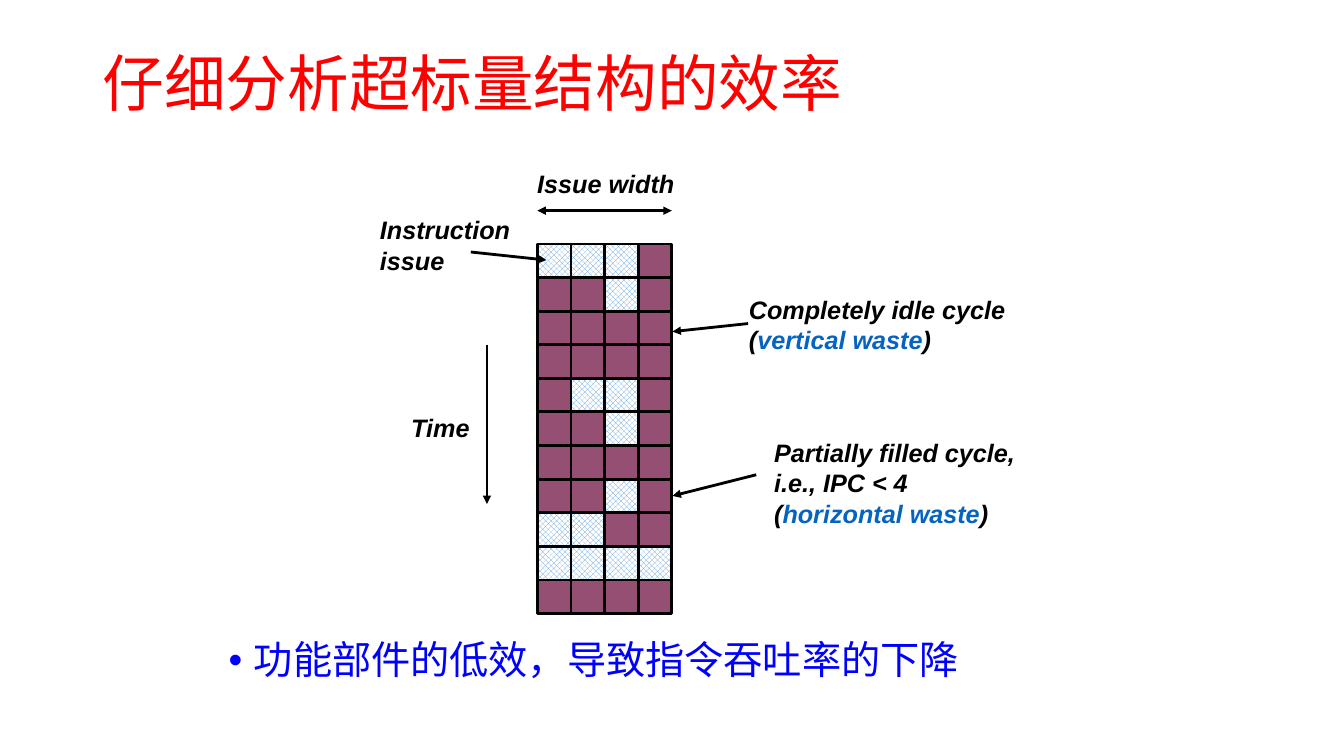
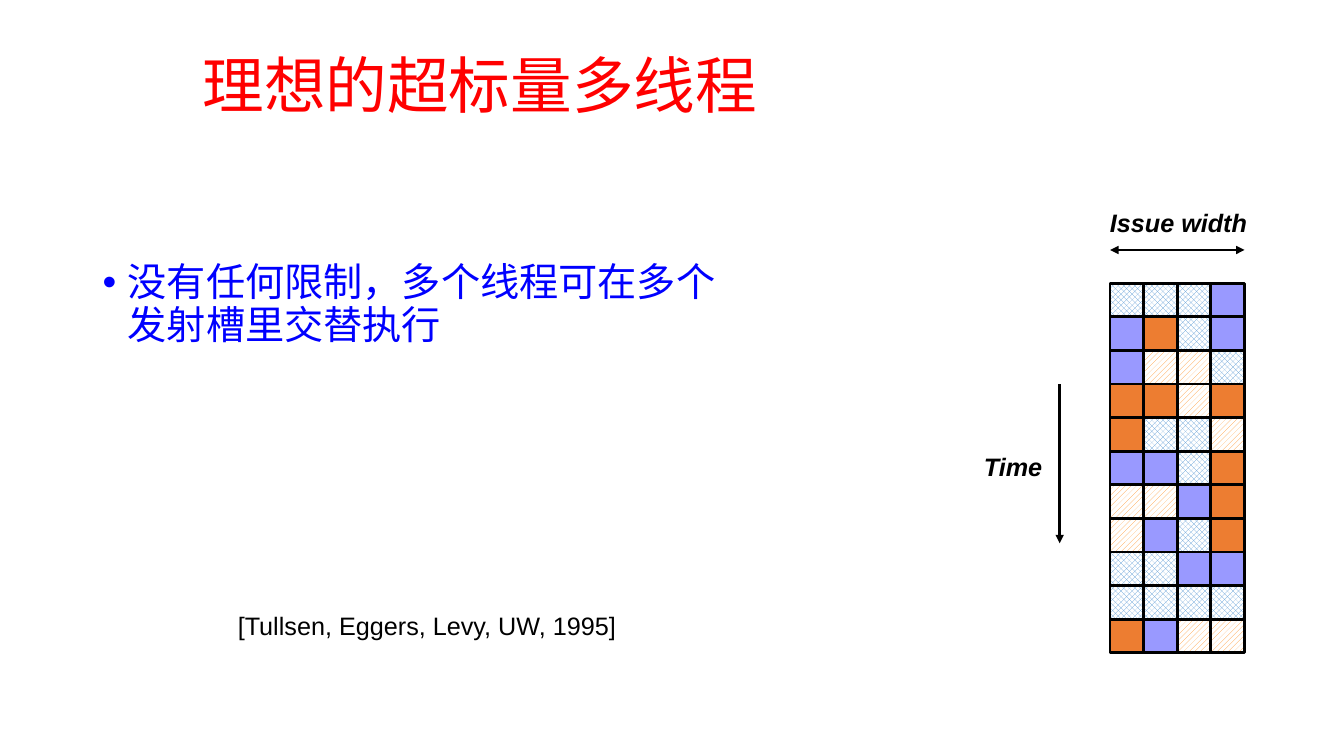
from lxml import etree
from pptx import Presentation
from pptx.dml.color import RGBColor
from pptx.enum.dml import MSO_PATTERN as Pattern
from pptx.enum.shapes import MSO_CONNECTOR as Connector, MSO_SHAPE as Shape
from pptx.enum.text import MSO_ANCHOR as Anchor
from pptx.oxml.ns import qn
from pptx.util import Inches, Pt

COLORS = {
    "title": "FF0000", "body": "0000FF", "ink": "000000", "term": "0563C1",
    "paper": "FFFFFF", "idle": "954F72", "blue": "5B9BD5",
    "violet": "9999FF", "orange": "ED7D31", "amber": "FF9933",
}
FONT = "Arial"

# Text styles
TITLE = {"size": 44, "color": "title"}
BODY = {"size": 28, "color": "body"}
LABEL = {"size": 18, "color": "ink", "bold": True, "italic": True}
TERM = {**LABEL, "color": "term"}
CITATION = {"size": 18, "color": "ink"}

# Issue slots: letter -> (colour, pattern)
SLOTS = {
    "A": ("blue", Pattern.SOLID_DIAMOND),
    "B": ("violet", None),
    "C": ("orange", Pattern.DARK_HORIZONTAL),
    "D": ("amber", Pattern.WIDE_UPWARD_DIAGONAL),
    ".": ("idle", None),
}
CELL = 1 / 3

# Slide content; a label is (left, top, width, height), paragraphs of (text, style),
# and an arrow runs from (x, y) to (x, y)
SLIDES = [
    {
        "title": ("仔细分析超标量结构的效率", (0.92, 0.4, 11.5, 0.91)),
        "bullet": ("功能部件的低效，导致指令吞吐率的下降", (2.17, 6.31, 8.94, 0.59)),
        "grid_at": (5.33, 2.42),
        "cycles": ["AAA.", "..A.", "....", "....", ".AA.", "..A.",
                   "....", "..A.", "AA..", "AAAA", "...."],
        "labels": [
            ((7.33, 2.87, 3, 0.7),
             [[("Completely idle cycle (", LABEL), ("vertical waste", TERM), (")", LABEL)]]),
            ((3.67, 2.08, 1.52, 0.7), [[("Instruction issue", LABEL)]]),
            ((7.58, 4.29, 2.67, 1),
             [[("Partially filled cycle, i.e., IPC < 4", LABEL)],
              [("(", LABEL), ("horizontal waste", TERM), (")", LABEL)]]),
        ],
        "arrows": [((7.42, 3.21), (6.67, 3.29)),
                   ((4.67, 2.5), (5.42, 2.58)),
                   ((7.5, 4.71), (6.67, 4.92))],
    },
    {
        "title": ("理想的超标量多线程", (1.91, 0.54, 9.46, 0.67)),
        "bullet": ("没有任何限制，多个线程可在多个发射槽里交替执行", (0.92, 2.56, 6.46, 0.92)),
        "grid_at": (11.01, 2.81),
        "cycles": ["AAAB", "BCAB", "BDDA", "CCDC", "CAAD", "BBAC",
                   "DDBC", "DBAC", "AABB", "AAAA", "CBDD"],
        "labels": [((2.26, 6.01, 3.99, 0.4),
                    [[("[Tullsen, Eggers, Levy, UW, 1995]", CITATION)]])],
        "arrows": [],
    },
]


def rgb(name):
    return RGBColor.from_string(COLORS[name])


def add_text(shapes, place, paragraphs, wrap=True, anchor=Anchor.TOP, line_spacing=None):
    box = shapes.add_textbox(*map(Inches, place))
    frame = box.text_frame
    frame.word_wrap = wrap
    frame.vertical_anchor = anchor
    for index, spans in enumerate(paragraphs):
        para = frame.paragraphs[0] if index == 0 else frame.add_paragraph()
        para.line_spacing = line_spacing
        for text, style in spans:
            span = para.add_run()
            span.text = text
            span.font.color.rgb = rgb(style["color"])
            formats = {"name": FONT, "size": Pt(style["size"]),
                       "bold": style.get("bold"), "italic": style.get("italic")}
            for key, value in formats.items():
                setattr(span.font, key, value)
    return box


def add_bullet(para):
    props = para._p.get_or_add_pPr()
    props.set("marL", str(Inches(0.25)))
    props.set("indent", str(-Inches(0.25)))
    etree.SubElement(props, qn("a:buFont")).set("typeface", FONT)
    etree.SubElement(props, qn("a:buChar")).set("char", "•")


def add_arrow(shapes, start, end, both_ends=False):
    arrow = shapes.add_connector(Connector.STRAIGHT, *map(Inches, (*start, *end)))
    arrow.line.color.rgb = rgb("ink")
    arrow.line.width = Pt(2)
    line = arrow.line._get_or_add_ln()
    for tag in ("a:headEnd", "a:tailEnd") if both_ends else ("a:tailEnd",):
        etree.SubElement(line, qn(tag)).set("type", "triangle")
    etree.SubElement(arrow._element.spPr, qn("a:effectLst"))


def add_slot(shapes, left, top, kind):
    color, pattern = SLOTS[kind]
    slot = shapes.add_shape(Shape.RECTANGLE, *map(Inches, (left, top, CELL, CELL)))
    slot.shadow.inherit = False
    if pattern is None:
        slot.fill.solid()
    else:
        slot.fill.patterned()
        slot.fill.pattern = pattern
        slot.fill.back_color.rgb = rgb("paper")
    slot.fill.fore_color.rgb = rgb(color)
    slot.line.color.rgb = rgb("ink")
    slot.line.width = Pt(2)


def add_issue_diagram(page, left, top, cycles):
    shapes = page.shapes.add_group_shape().shapes
    for row, cycle in enumerate(cycles):
        for column, kind in enumerate(cycle):
            add_slot(shapes, left + column * CELL, top + row * CELL, kind)
    # Axes: issue width across, time down
    width_y, time_x = top - 0.33, left - 0.5
    add_arrow(shapes, (left, width_y), (left + 4 * CELL, width_y), both_ends=True)
    add_arrow(shapes, (time_x, top + 1), (time_x, top + 2.58))
    for text, place in (("Issue width", (left - 0.1, top - 0.8, 1.56, 0.4)),
                        ("Time", (left - 1.35, top + 1.62, 0.78, 0.4))):
        add_text(shapes, place, [[(text, LABEL)]], wrap=False)


def add_page(deck, content):
    page = deck.slides.add_slide(deck.slide_layouts[6])
    title, place = content["title"]
    add_text(page.shapes, place, [[(title, TITLE)]], anchor=Anchor.MIDDLE, line_spacing=0.9)
    bullet, place = content["bullet"]
    box = add_text(page.shapes, place, [[(bullet, BODY)]], line_spacing=0.9)
    add_bullet(box.text_frame.paragraphs[0])
    add_issue_diagram(page, *content["grid_at"], content["cycles"])
    for start, end in content["arrows"]:
        add_arrow(page.shapes, start, end)
    for place, paragraphs in content["labels"]:
        add_text(page.shapes, place, paragraphs)


def main():
    deck = Presentation()
    deck.slide_width, deck.slide_height = Inches(13.33), Inches(7.5)
    for content in SLIDES:
        add_page(deck, content)
    deck.save("out.pptx")


if __name__ == "__main__":
    main()
